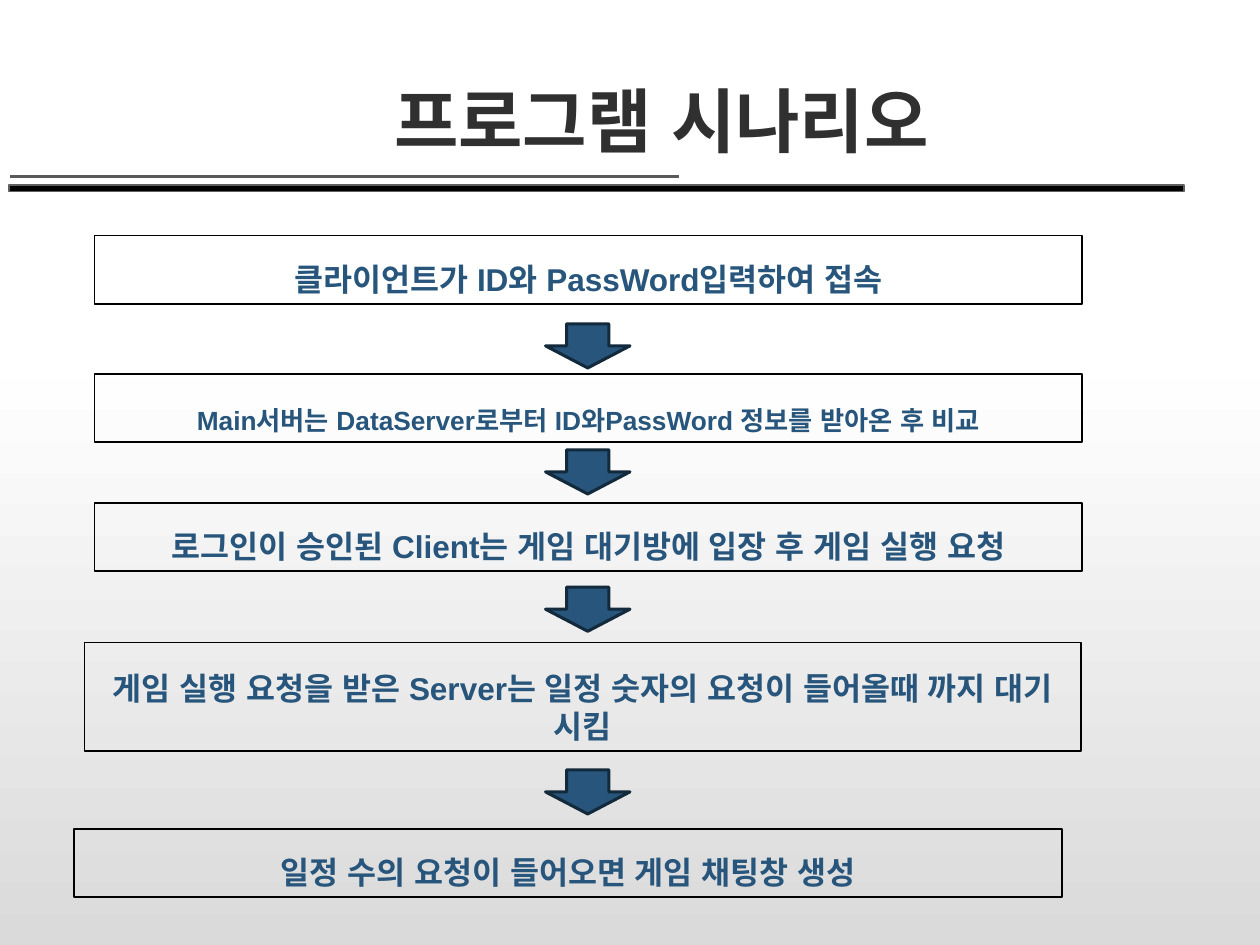
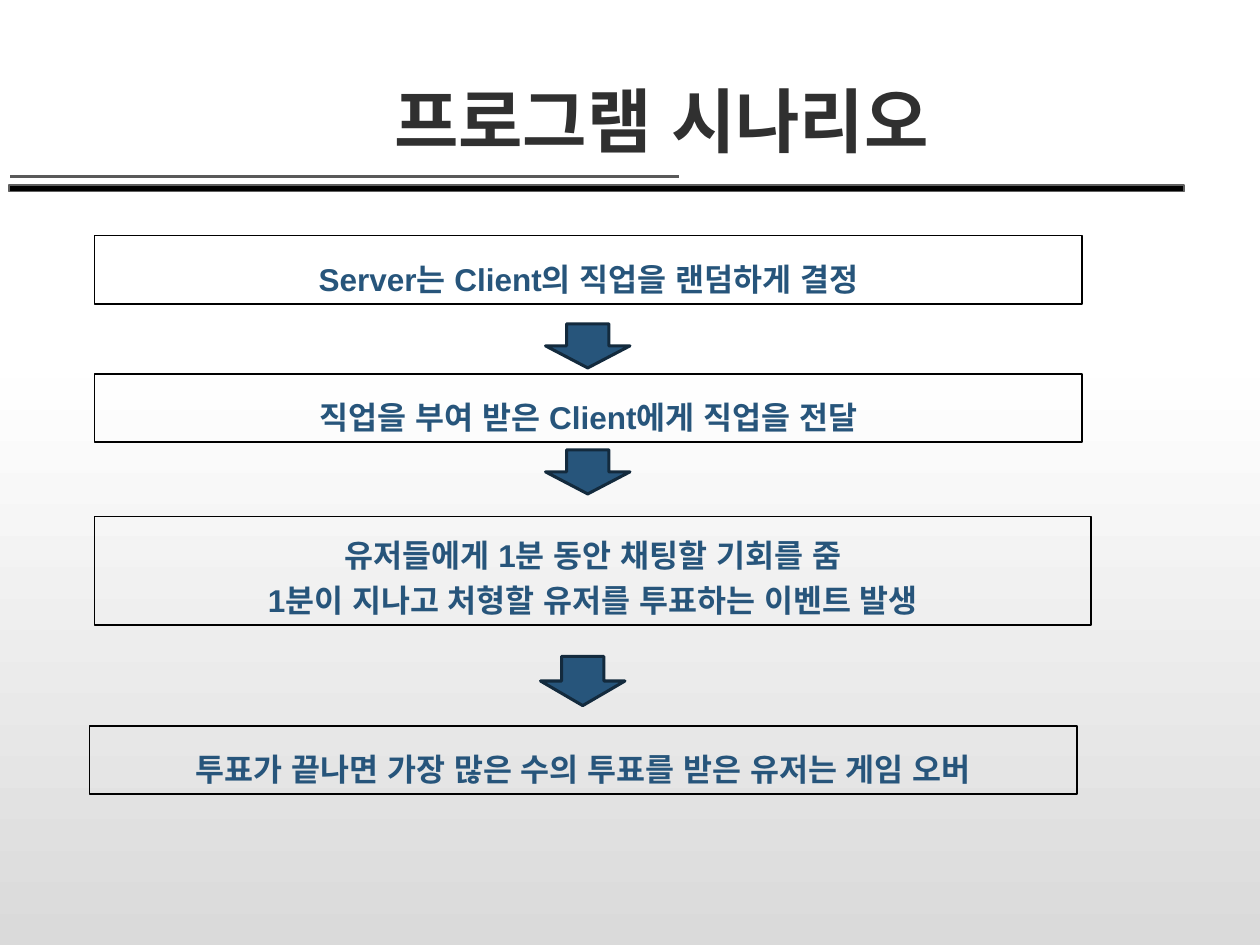
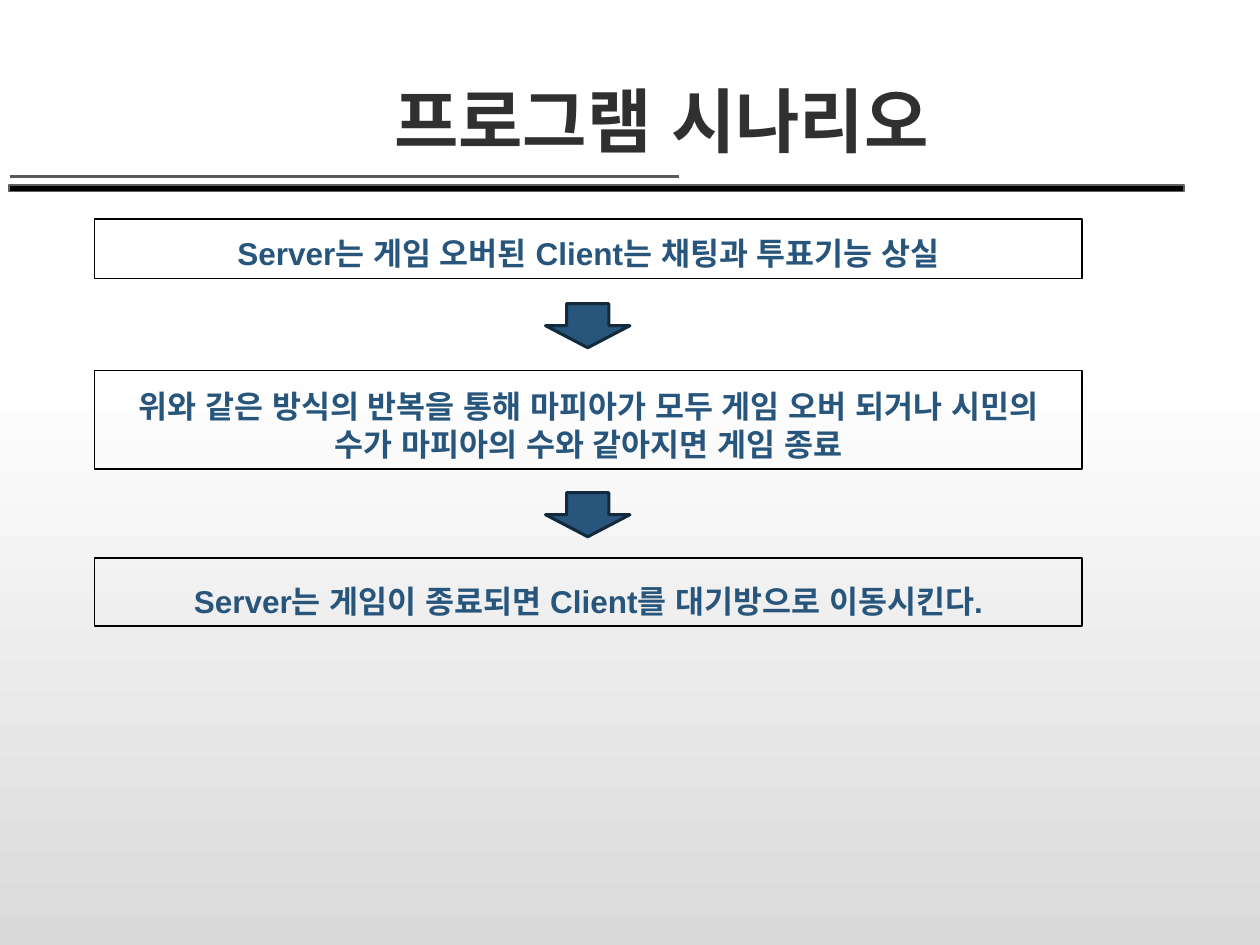
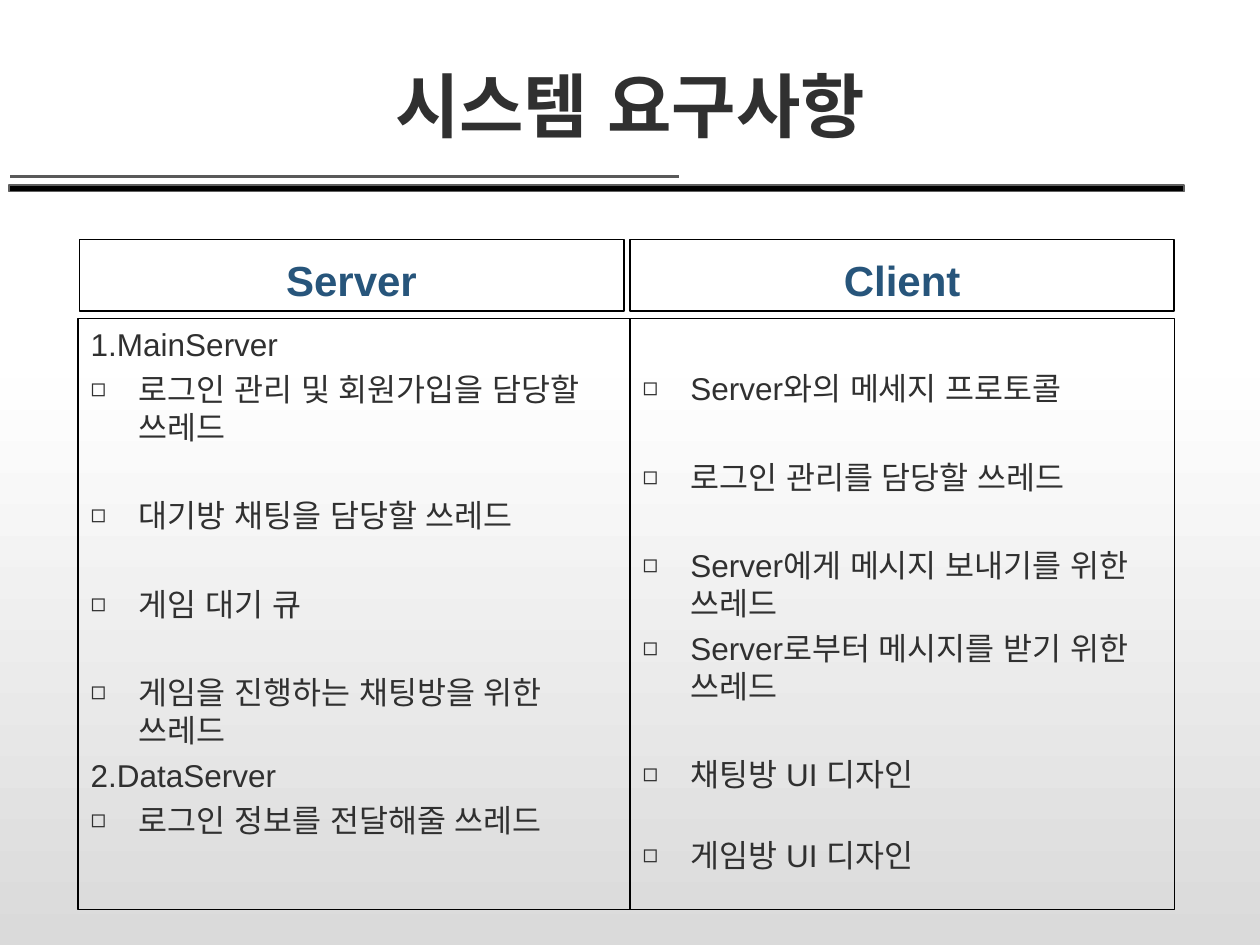
from copy import deepcopy
from dataclasses import dataclass

from lxml import etree
from pptx import Presentation
from pptx import util as u
from pptx.dml.color import RGBColor
from pptx.enum import lang, shapes, text
from pptx.oxml.ns import qn

FONT = "Arial"
BLACK, INK, BLUE, NAVY = "000000", "303030", "27557B", "132A3D"
BAND_EDGE, THIN_BAND = "5F5F5F", "595959"
BACKGROUND = [("FFFFFF", 0), ("FEFEFE", 0.4), ("DADADA", 1)]
COLS, ROWS = 100, 75
CENTER, LEFT = text.PP_ALIGN.CENTER, text.PP_ALIGN.LEFT
TOP, BOTTOM = text.MSO_ANCHOR.TOP, text.MSO_ANCHOR.BOTTOM
NEAR, FAR = 4, 29

prs = Presentation()
prs.slide_width, prs.slide_height = u.Inches(10), u.Inches(7.5)


@dataclass
class Step:
    """One step of a flow, placed from the top left of the flow's frame."""
    text: str
    dy: float
    h: float = 5.4
    dx: float = 0
    dw: float = 0
    size: int = 18
    arrow: tuple = ()


@dataclass
class Item:
    """One line of a requirement list."""
    text: str
    gap: int = NEAR
    bullet: bool = True
    spacing: float = 1


def color(value):
    """Turn a hex string into a colour."""
    return RGBColor.from_string(value)


def grid(*box):
    """Turn columns and rows into slide lengths."""
    units = (prs.slide_width / COLS, prs.slide_height / ROWS)
    return [round(n * units[i % 2]) for i, n in enumerate(box)]


def move(sp, box):
    """Put a shape on a grid box."""
    sp.left, sp.top, sp.width, sp.height = grid(*box)


def paint(sp, fill=None, line=BLACK, weight=1):
    """Set the fill and outline of a shape."""
    if fill:
        sp.fill.solid()
        sp.fill.fore_color.rgb = color(fill)
    else:
        sp.fill.background()
    sp.line.color.rgb = color(line)
    sp.line.width = u.Pt(weight)


def add_shape(slide, kind, box, **look):
    """Add a painted preset shape without a shadow."""
    sp = slide.shapes.add_shape(kind, *grid(*box))
    sp.shadow.inherit = False
    paint(sp, **look)
    return sp


def set_bullet(p, bullet, indent):
    """Set the indent and bullet of a paragraph."""
    pPr = p._p.get_or_add_pPr()
    pPr.set("marL", str(u.Inches(indent)))
    pPr.set("indent", str(-u.Inches(indent)))
    if bullet:
        etree.SubElement(pPr, qn("a:buSzPct")).set("val", "80000")
        etree.SubElement(pPr, qn("a:buChar")).set("char", "◻")
    else:
        etree.SubElement(pPr, qn("a:buNone"))


def write(sp, items, size=18, ink=BLUE, bold=True, align=CENTER,
          anchor=BOTTOM, indent=0):
    """Write a string or a list of items into a shape."""
    if isinstance(items, str):
        items = [Item(line, bullet=False) for line in items.split("\n")]
    tf = sp.text_frame
    tf.word_wrap = True
    tf.auto_size = text.MSO_AUTO_SIZE.NONE
    tf.vertical_anchor = anchor
    for i, item in enumerate(items):
        p = tf.add_paragraph() if i else tf.paragraphs[0]
        set_bullet(p, item.bullet, indent)
        p.alignment = align
        p.line_spacing = item.spacing
        p.space_before = u.Pt(item.gap if i else 0)
        r = p.add_run()
        r.text = item.text
        r.font.name, r.font.size, r.font.bold = FONT, u.Pt(size), bold
        r.font.color.rgb = color(ink)
        r.font.language_id = lang.MSO_LANGUAGE_ID.KOREAN


def set_background(master):
    """Give every slide the vertical grey gradient."""
    fill = master.background.fill
    fill.gradient()
    fill.gradient_angle = 270
    stops = master.element.find(".//" + qn("a:gsLst"))
    stops.append(deepcopy(stops[-1]))
    for stop, (value, position) in zip(fill.gradient_stops, BACKGROUND):
        stop.color.rgb = color(value)
        stop.position = position


def add_bands(slide):
    """Draw the thick and thin bands under the title."""
    add_shape(slide, shapes.MSO_SHAPE.RECTANGLE, (0.7, 14.7, 93.3, 0.5),
              fill=BLACK, line=BAND_EDGE)
    thin = slide.shapes.add_connector(shapes.MSO_CONNECTOR.STRAIGHT,
                                      *grid(0.8, 14, 53.9, 14))
    thin.line.color.rgb = color(THIN_BAND)
    thin.line.width = u.Pt(2)
    etree.SubElement(thin._element.spPr, qn("a:effectLst"))


def add_slide(layout, title, box):
    """Add a slide with its title and bands."""
    slide = prs.slides.add_slide(prs.slide_layouts.get_by_name(layout))
    move(slide.shapes.title, box)
    write(slide.shapes.title, title, size=40, ink=INK)
    add_bands(slide)
    return slide


def add_flow(steps, frame=(7.5, 18.7, 78.4)):
    """Build a scenario slide of boxed steps joined by block arrows."""
    slide = add_slide("Two Content", "프로그램 시나리오", (10, 0.8, 85, 12.5))
    left, top, width = frame
    bodies = list(slide.placeholders)[1:]
    for i, step in enumerate(steps):
        box = (left + step.dx, top + step.dy, width + step.dw, step.h)
        if i < len(bodies):
            sp = bodies[i]
            move(sp, box)
            paint(sp)
        else:
            sp = add_shape(slide, shapes.MSO_SHAPE.RECTANGLE, box)
        write(sp, step.text, size=step.size)
        if step.arrow:
            dy, dx, h = step.arrow
            add_shape(slide, shapes.MSO_SHAPE.DOWN_ARROW,
                      (left + 35.8 + dx, top + dy, 6.7, h),
                      fill=BLUE, line=NAVY, weight=1.75)


def add_column(head, body, box, title, items, head_left, head_width, inset=0.05):
    """Fill one headed list column inside the given box."""
    left, top, width, height = box
    move(head, (head_left, top, head_width, 5.7))
    paint(head)
    write(head, title, size=24)
    move(body, (left, top + 6.3, width, height - 6.3))
    paint(body, weight=0.75)
    write(body, items, ink=INK, bold=False, align=LEFT, anchor=TOP, indent=0.38)
    body.text_frame.margin_top = u.Inches(inset)


def add_requirements(server, client):
    """Build the slide that sets server and client needs side by side."""
    slide = add_slide("Comparison", "시스템 요구사항", (7.5, 2.5, 85, 9.6))
    heads_and_lists = list(slide.placeholders)[1:]
    add_column(*heads_and_lists[:2], (6.2, 19, 43.8, 53.2), "Server", server,
               head_left=6.3, head_width=43.2)
    add_column(*heads_and_lists[2:], (50, 19, 43.2, 53.2), "Client", client,
               head_left=50, head_width=43.2, inset=0.4)


def main():
    """Build and save the slides."""
    set_background(prs.slide_master)
    add_flow([
        Step("클라이언트가 ID와 PassWord입력하여 접속", 0, arrow=(7, 0, 3.5)),
        Step("Main서버는 DataServer로부터 ID와PassWord 정보를 받아온 후 비교",
             11, size=15, arrow=(17, 0, 3.5)),
        Step("로그인이 승인된 Client는 게임 대기방에 입장 후 게임 실행 요청",
             21.2, arrow=(27.9, 0, 3.5)),
        Step("게임 실행 요청을 받은 Server는 일정 숫자의 요청이 들어올때 까지 대기 시킴",
             32.3, h=8.6, dx=-0.8, dw=0.7, arrow=(42.4, 0, 3.5)),
        Step("일정 수의 요청이 들어오면 게임 채팅창 생성", 47.1, dx=-1.6),
    ])
    add_flow([
        Step("Server는 Client의 직업을 랜덤하게 결정", 0, arrow=(7, 0, 3.5)),
        Step("직업을 부여 받은 Client에게 직업을 전달", 11, arrow=(17, 0, 3.5)),
        Step("유저들에게 1분 동안 채팅할 기회를 줌\n"
             "1분이 지나고 처형할 유저를 투표하는 이벤트 발생",
             22.3, h=8.6, dw=0.7, arrow=(33.4, -0.4, 3.9)),
        Step("투표가 끝나면 가장 많은 수의 투표를 받은 유저는 게임 오버",
             38.9, dx=-0.4),
    ])
    add_flow([
        Step("Server는 게임 오버된 Client는 채팅과 투표기능 상실",
             0, h=4.7, arrow=(6.7, 0, 3.5)),
        Step("위와 같은 방식의 반복을 통해 마피아가 모두 게임 오버 되거나 "
             "시민의 수가 마피아의 수와 같아지면 게임 종료",
             12, h=7.8, arrow=(21.7, 0, 3.5)),
        Step("Server는 게임이 종료되면 Client를 대기방으로 이동시킨다.", 26.9),
    ], frame=(7.5, 17.4, 78.4))
    add_requirements(
        server=[
            Item("1.MainServer", bullet=False),
            Item("로그인 관리 및 회원가입을 담당할 쓰레드"),
            Item("대기방 채팅을 담당할 쓰레드", FAR),
            Item("게임 대기 큐", FAR),
            Item("게임을 진행하는 채팅방을 위한 쓰레드", FAR),
            Item("2.DataServer", bullet=False),
            Item("로그인 정보를 전달해줄 쓰레드"),
        ],
        client=[
            Item("Server와의 메세지 프로토콜"),
            Item("로그인 관리를 담당할 쓰레드", FAR),
            Item("Server에게 메시지 보내기를 위한 쓰레드", FAR),
            Item("Server로부터 메시지를 받기 위한 쓰레드"),
            Item("채팅방 UI 디자인", FAR),
            Item("게임방 UI 디자인", FAR, spacing=0.8),
        ])
    prs.save("out.pptx")


if __name__ == "__main__":
    main()
